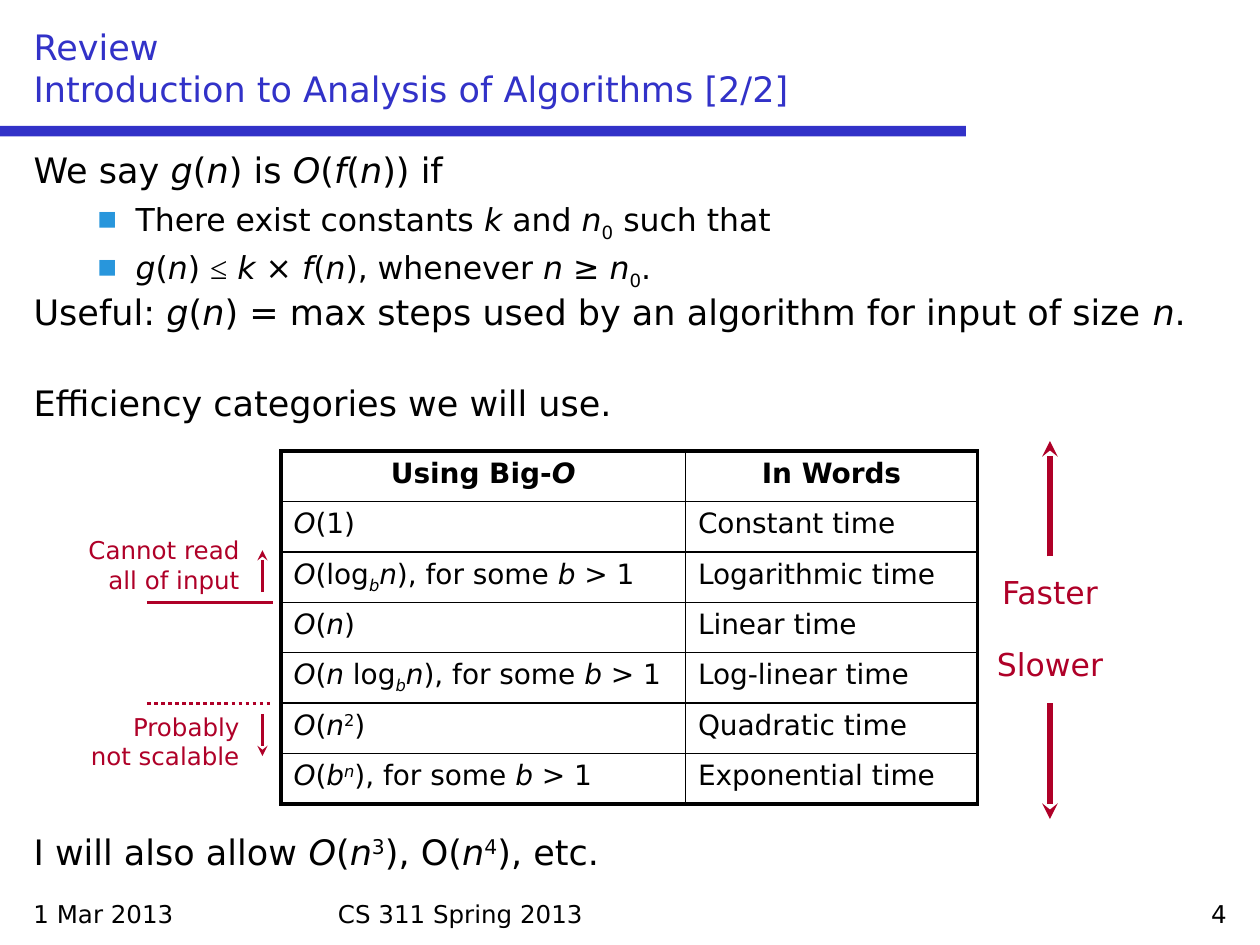
from dataclasses import dataclass
from itertools import groupby

from lxml.etree import SubElement
from pptx import Presentation
from pptx.dml.color import RGBColor
from pptx.enum.dml import MSO_LINE_DASH_STYLE as Dash
from pptx.enum.shapes import MSO_CONNECTOR, MSO_SHAPE
from pptx.enum.text import MSO_ANCHOR as Anchor
from pptx.enum.text import MSO_AUTO_SIZE as AutoSize
from pptx.enum.text import PP_ALIGN as Align
from pptx.oxml.ns import qn
from pptx.util import Inches, Pt

COLORS = {"title": "3232C8", "text": "000000", "bullet": "2896DC", "note": "AF0028"}
FONT, SYMBOL_FONT = "DejaVu Sans", "Times New Roman"
SLIDE_WIDTH, SLIDE_HEIGHT = Inches(10), Inches(7.5)
UNIT = SLIDE_WIDTH // 120  # the grid has 120 columns and 90 rows
BASELINES = {"_": -25000, "^": 30000}


@dataclass
class Line:
    text: str
    before: float = 0
    bulleted: bool = False


@dataclass
class Label:
    text: str
    box: tuple[float, float, float, float]
    size: int = 14
    color: str = "text"
    align: Align = Align.LEFT


@dataclass
class Stroke:
    start: tuple[float, float]
    end: tuple[float, float]
    width: float
    arrow: bool = False
    dotted: bool = False


# Markup: * switches italics, _ lowers and ^ raises the next letter
BODY = [
    Line("We say *g*(*n*) is *O*(*f*(*n*)) if"),
    Line("There exist constants *k* and *n*_0 such that", 5.5, True),
    Line("*g*(*n*) ≤* k *× *f*(*n*), whenever *n *≥ *n*_0.", 5.5, True),
    Line("Useful: *g*(*n*) = max steps used by an algorithm for input of size *n*.", 4.5),
    Line("Efficiency categories we will use.", 30),
    Line("I will also allow *O*(*n*^3), O(*n*^4), etc.", 235),
]
CATEGORIES = [
    ("Using Big-*O*", "In Words"),
    ("*O*(1)", "Constant time"),
    ("*O*(log*_bn*), for some *b* > 1", "Logarithmic time"),
    ("*O*(*n*)", "Linear time"),
    ("*O*(*n* log*_bn*), for some *b* > 1", "Log-linear time"),
    ("*O*(*n*^2)", "Quadratic time"),
    ("*O*(*b^n*), for some *b* > 1", "Exponential time"),
]
LABELS = [
    Label("1 Mar 2013", (2, 85, 28, 4)),
    Label("CS 311 Spring 2013", (31, 85, 58, 4)),
    Label("4", (90, 85, 28, 4), align=Align.RIGHT),
    Label("Faster", (93, 54, 14, 4.8), 18, "note", Align.CENTER),
    Label("Slower", (93, 60.8, 14, 4.8), 18, "note", Align.CENTER),
    Label("Cannot read all of input", (7, 50.4, 17, 7), 14, "note", Align.RIGHT),
    Label("Probably not scalable", (7, 67.2, 17, 7), 14, "note", Align.RIGHT),
]
STROKES = [
    Stroke((100, 53), (100, 42), 3, arrow=True),
    Stroke((100, 67), (100, 78), 3, arrow=True),
    Stroke((14, 67), (26, 67), 2, dotted=True),
    Stroke((14, 57.4), (26, 57.4), 2),
    Stroke((25, 68), (25, 72), 1.25, arrow=True),
    Stroke((25, 56.4), (25, 52.4), 1.25, arrow=True),
]


def grid(*values: float) -> list[int]:
    return [round(value * UNIT) for value in values]


def rgb(name: str) -> RGBColor:
    return RGBColor.from_string(COLORS[name])


def parse_markup(text: str) -> list[tuple]:
    """Return (italic, baseline, font, letters) for each span."""
    letters, italic, baseline = [], False, 0
    for letter in text:
        if letter == "*":
            italic = not italic
        elif letter in BASELINES:
            baseline = BASELINES[letter]
        else:
            font = SYMBOL_FONT if letter == "≤" else FONT
            letters.append((italic, baseline, font, letter))
            baseline = 0
    return [(*style, "".join(item[3] for item in group))
            for style, group in groupby(letters, key=lambda item: item[:3])]


def write(para, text: str, *, size: int, color: str = "text", bold: bool = False,
          align: Align = Align.LEFT) -> None:
    para.alignment = align
    for index, part in enumerate(text.split("\n")):
        if index:
            para.add_line_break()
        for italic, baseline, font, letters in parse_markup(part):
            span = para.add_run()
            span.text = letters
            span.font.name, span.font.size = font, Pt(size)
            span.font.bold, span.font.italic = bold, italic
            span.font.color.rgb = rgb(color)
            if baseline:
                span.font._element.set("baseline", str(baseline))


def place(shape, *box: float) -> None:
    shape.left, shape.top, shape.width, shape.height = grid(*box)


def fill_body(frame) -> None:
    frame.auto_size, frame.vertical_anchor = AutoSize.NONE, Anchor.TOP
    for index, line in enumerate(BODY):
        para = frame.add_paragraph() if index else frame.paragraphs[0]
        para.level = int(line.bulleted)
        margin, hanging = (0.81, 0.31) if line.bulleted else (0.38, 0.38)
        props = para._p.get_or_add_pPr()
        props.set("marL", str(Inches(margin)))
        props.set("indent", str(-Inches(hanging)))
        if line.bulleted:
            SubElement(SubElement(props, qn("a:buClr")), qn("a:srgbClr"), val=COLORS["bullet"])
            SubElement(props, qn("a:buFont"), typeface=FONT)
            SubElement(props, qn("a:buChar"), char="▪")
        else:
            SubElement(props, qn("a:buNone"))
        para.line_spacing, para.space_before = 0.9, Pt(line.before)
        write(para, line.text, size=18 if line.bulleted else 20)


def add_categories(page) -> None:
    rows, columns = len(CATEGORIES), len(CATEGORIES[0])
    box = Inches(2.23), Inches(3.58), Inches(5.53), Inches(0.4 * rows)
    table = page.shapes.add_table(rows, columns, *box).table
    table.first_row = table.horz_banding = False
    table.columns[0].width, table.columns[1].width = Inches(3.21), Inches(2.32)
    for row, texts in enumerate(CATEGORIES):
        for column, text in enumerate(texts):
            cell = table.cell(row, column)
            outer = {"L": column == 0, "R": column == columns - 1,
                     "T": row == 0, "B": row == rows - 1}
            props = cell._tc.get_or_add_tcPr()
            for side, is_outer in outer.items():
                border = SubElement(props, qn(f"a:ln{side}"), w=str(Pt(2.25 if is_outer else 1)))
                SubElement(SubElement(border, qn("a:solidFill")), qn("a:srgbClr"),
                           val=COLORS["text"])
            cell.fill.background()
            write(cell.text_frame.paragraphs[0], text, size=16, bold=row == 0,
                  align=Align.LEFT if row else Align.CENTER)


def add_label(page, label: Label) -> None:
    frame = page.shapes.add_textbox(*grid(*label.box)).text_frame
    frame.word_wrap = True
    write(frame.paragraphs[0], label.text, size=label.size, color=label.color,
          align=label.align)


def add_stroke(page, stroke: Stroke) -> None:
    line = page.shapes.add_connector(MSO_CONNECTOR.STRAIGHT, *grid(*stroke.start, *stroke.end))
    line.line.color.rgb, line.line.width = rgb("note"), Pt(stroke.width)
    if stroke.dotted:
        line.line.dash_style = Dash.ROUND_DOT
    if stroke.arrow:
        SubElement(line.line._get_or_add_ln(), qn("a:tailEnd"), type="stealth")
    SubElement(line._element.spPr, qn("a:effectLst"))


def main() -> None:
    deck = Presentation()
    deck.slide_width, deck.slide_height = SLIDE_WIDTH, SLIDE_HEIGHT
    page = deck.slides.add_slide(deck.slide_layouts[1])

    # Title and the bar under it
    title, body = page.placeholders
    place(title, 2, 2, 116, 9)
    title.text_frame.auto_size = AutoSize.NONE
    title.text_frame.vertical_anchor = Anchor.BOTTOM
    write(title.text_frame.paragraphs[0], "Review\nIntroduction to Analysis of Algorithms [2/2]",
          size=20, color="title")
    bar = page.shapes.add_shape(MSO_SHAPE.RECTANGLE, *grid(0, 12, 92, 1))
    bar.shadow.inherit = False
    bar.fill.solid()
    bar.fill.fore_color.rgb = rgb("title")
    bar.line.fill.background()

    # Body, table and notes
    place(body, 2, 14, 116, 70)
    fill_body(body.text_frame)
    add_categories(page)
    for stroke in STROKES:
        add_stroke(page, stroke)
    for label in LABELS:
        add_label(page, label)
    deck.save("out.pptx")


if __name__ == "__main__":
    main()
